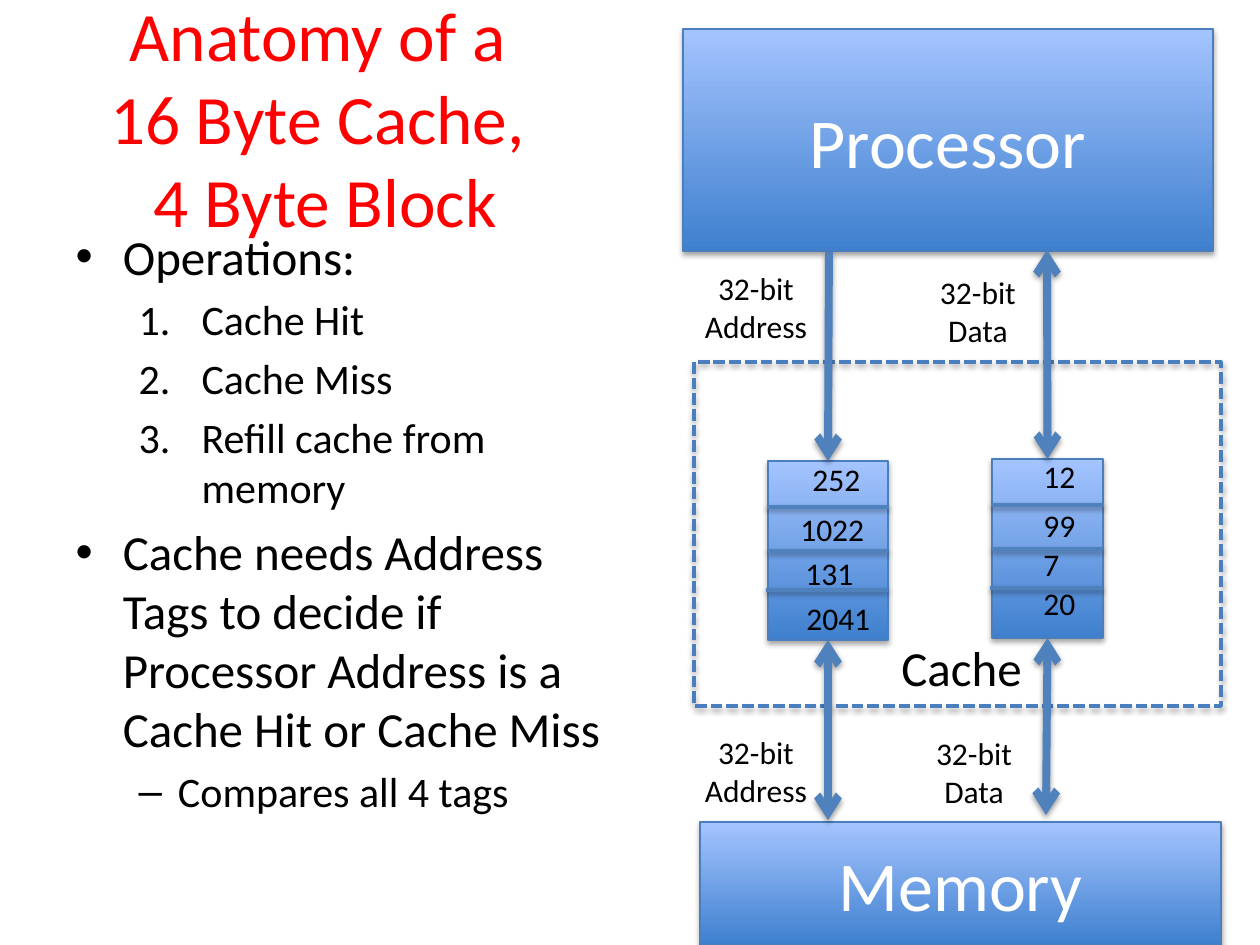
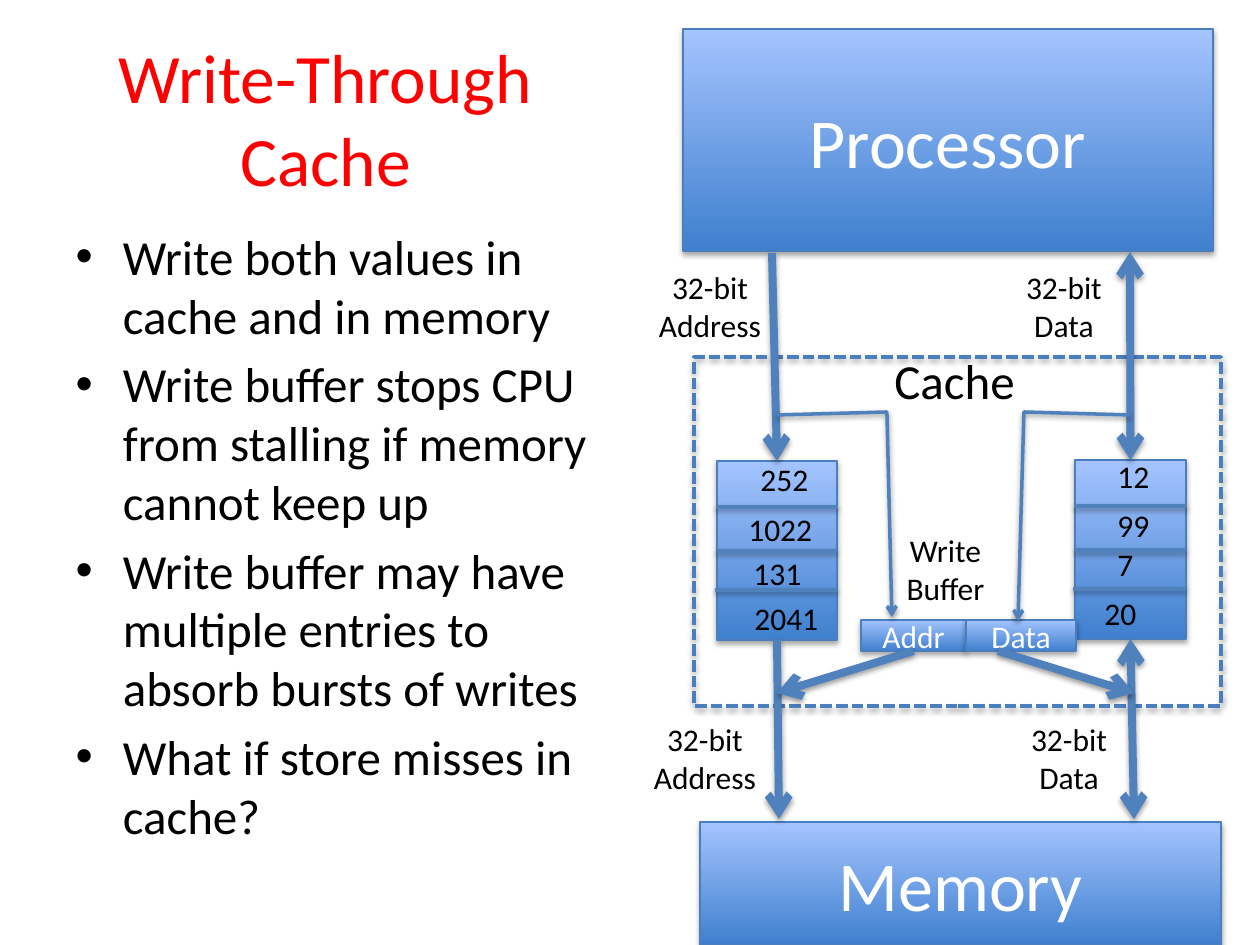
from pptx import Presentation
from pptx import util as u
from pptx.dml.color import RGBColor
from pptx.enum import dml, shapes, text
from pptx.oxml import parse_xml
from pptx.oxml.ns import nsdecls

SCALE = 914400 / 126  # EMU per px
FONT = "Calibri"
RED = RGBColor(0xFF, 0x00, 0x00)
BLACK = RGBColor(0x00, 0x00, 0x00)
WHITE = RGBColor(0xFF, 0xFF, 0xFF)
DEEP = RGBColor(0x3F, 0x80, 0xCE)
PALE = RGBColor(0xA4, 0xC4, 0xFF)
EDGE = RGBColor(0x4B, 0x7E, 0xBC)
BLUE = RGBColor(0x4F, 0x81, 0xBD)


def px(*nums):
    return [u.Emu(round(n * SCALE)) for n in nums]


def trim(item, color, width, drop, alpha, ends=""):
    """Give an item its line, arrowheads and soft shadow."""
    item.line.color.rgb = color
    item.line.width = u.Pt(width)
    props = item._element.spPr
    for end in ends.split():
        props.ln.append(parse_xml(f'<a:{end}End {nsdecls("a")} type="arrow"/>'))
    for old in props.findall("{*}effectLst"):
        props.remove(old)
    props.append(parse_xml(
        f'<a:effectLst {nsdecls("a")}><a:outerShdw blurRad="40000" dist="{drop}" '
        f'dir="5400000" rotWithShape="0"><a:srgbClr val="000000">'
        f'<a:alpha val="{alpha}000"/></a:srgbClr></a:outerShdw></a:effectLst>'))


BOX = (EDGE, 0.75, 23000, 35)
THICK = (BLUE, 4.5, 20000, 38)
THIN = (BLUE, 2, 20000, 38)
BOTH = "head tail"
ADDR = "32-bit\nAddress"
DATA = "32-bit\nData"

# Columns: left, top, width, start of upper arrow, heads, end of lower arrow, heads
# Notes: words, left, top, width, size
pages = [
    dict(
        title="Anatomy of a \v16 Byte Cache, \v4 Byte Block",
        body=[("Operations:", ""), ("Cache Hit", "num"), ("Cache Miss", "num"),
              ("Refill cache from memory", "num"),
              ("Cache needs Address Tags to decide if Processor Address is a "
               "Cache Hit or Cache Miss", ""),
              ("Compares all 4 tags", "dash")],
        cache=(694, 362, 527, 344),
        cols=[(768, 461, 120, (829, 252), "tail", (828, 820), BOTH),
              (992, 459, 111, (1047, 250), BOTH, (1046, 815), BOTH)],
        notes=[(ADDR, 692, 263, 128, 18), (DATA, 927, 267, 102, 18),
               (ADDR, 692, 727, 128, 18), (DATA, 923, 728, 102, 18),
               ("Cache", 889, 631, 147, 28),
               ("252", 800, 454, 107, 18), ("1022", 788, 504, 89, 18),
               ("131", 793, 548, 107, 18), ("2041", 794, 593, 107, 18),
               ("12", 1031, 451, 58, 18), ("99", 1031, 500, 58, 18),
               ("7", 1031, 539, 42, 18), ("20", 1031, 578, 58, 18)],
        parts=[],
    ),
    dict(
        title="Write-Through Cache",
        body=[("Write both values in cache and in memory", ""),
              ("Write buffer stops CPU from stalling if memory cannot keep up", ""),
              ("Write buffer may have multiple entries to absorb bursts of writes", ""),
              ("What if store misses in cache?", "")],
        cache=(694, 357, 527, 349),
        cols=[(717, 461, 120, (772, 253), "tail", (779, 819), "tail"),
              (1075, 460, 111, (1130, 252), BOTH, (1134, 819), BOTH)],
        notes=[(ADDR, 646, 262, 128, 18), (DATA, 1013, 262, 102, 18),
               (ADDR, 641, 714, 128, 18), (DATA, 1018, 714, 102, 18),
               ("Cache", 882, 344, 147, 28),
               ("252", 748, 454, 107, 18), ("1022", 736, 504, 89, 18),
               ("131", 741, 548, 107, 18), ("2041", 742, 593, 107, 18),
               ("12", 1105, 451, 58, 18), ("99", 1105, 500, 58, 18),
               ("7", 1105, 539, 42, 18), ("20", 1092, 588, 58, 18),
               ("Write Buffer", 872, 525, 147, 18)],
        # Write buffer: words, box, elbow into it, arrow out of it
        parts=[("Addr", (861, 620, 105, 31), [(777, 415), (887, 412), (892, 617)],
                (913, 651, 777, 693)),
               ("Data", (966, 620, 110, 31), [(1130, 415), (1024, 412), (1018, 621)],
                (998, 651, 1134, 693))],
    ),
]

deck = Presentation()
deck.slide_width, deck.slide_height = px(1260, 945)

for page in pages:
    slide = deck.slides.add_slide(deck.slide_layouts[1])
    draw = slide.shapes

    # Title
    head = draw.title
    head.left, head.top, head.width, head.height = px(63, 38, 525, 158)
    head.text_frame.text = page["title"]
    head.text_frame.auto_size = text.MSO_AUTO_SIZE.NONE
    font = head.text_frame.paragraphs[0].font
    font.name, font.size, font.color.rgb = FONT, u.Pt(39.6), RED

    # Bullets
    body = slide.placeholders[1]
    body.left, body.top, body.width, body.height = px(63, 220, 557, 624)
    body.text_frame.text = "\n".join(words for words, kind in page["body"])
    body.text_frame.auto_size = text.MSO_AUTO_SIZE.NONE
    for para, (words, kind) in zip(body.text_frame.paragraphs, page["body"]):
        para.level = 1 if kind else 0
        para.font.name, para.font.color.rgb = FONT, BLACK
        para.font.size = u.Pt(24 if kind else 28)
        if kind == "num":
            props = para._p.get_or_add_pPr()
            props.set("marL", "914400")
            props.set("indent", "-457200")
            for tag in ('buFont {} typeface="+mj-lt"', 'buAutoNum {} type="arabicPeriod"'):
                props.append(parse_xml(f"<a:{tag.format(nsdecls('a'))}/>"))

    # Cache outline
    frame = draw.add_shape(shapes.MSO_SHAPE.RECTANGLE, *px(*page["cache"]))
    frame.fill.background()
    frame.line.dash_style = dml.MSO_LINE.SQUARE_DOT
    trim(frame, EDGE, 2.25, 23000, 35)

    # Shaded boxes
    boxes = [("Processor", (683, 29, 530, 222), 40), ("Memory", (700, 822, 521, 123), 40)]
    boxes += [("", (left, top, wide, 179), 18) for left, top, wide, *rest in page["cols"]]
    boxes += [(words, place, 18) for words, place, *rest in page["parts"]]
    made = []
    for words, place, size in boxes:
        box = draw.add_shape(shapes.MSO_SHAPE.RECTANGLE, *px(*place))
        box.fill.gradient()
        box.fill.gradient_angle = 90
        for stop, color in zip(box.fill.gradient_stops, (DEEP, PALE)):
            stop.color.rgb = color
        trim(box, *BOX)
        if words:
            box.text_frame.text = words
            box.text_frame.vertical_anchor = text.MSO_ANCHOR.MIDDLE
            para = box.text_frame.paragraphs[0]
            para.alignment = text.PP_ALIGN.CENTER
            para.font.name, para.font.size, para.font.color.rgb = FONT, u.Pt(size), WHITE
        made.append(box)

    # Columns: arrows above and below, then row lines
    for col, (left, top, wide, start, above, stop, below) in zip(made[2:], page["cols"]):
        mid = left + wide // 2
        up = draw.add_connector(shapes.MSO_CONNECTOR.STRAIGHT, *px(*start, mid, top))
        up.end_connect(col, 0)
        trim(up, *THICK, above)
        down = draw.add_connector(shapes.MSO_CONNECTOR.STRAIGHT, *px(mid, top + 179, *stop))
        down.begin_connect(col, 2)
        trim(down, *THICK, below)
        for gap, west, east in ((46, -1, 1), (90, 0, 0), (129, -2, 0)):
            row = draw.add_connector(shapes.MSO_CONNECTOR.STRAIGHT, *px(
                left + west, top + gap, left + wide + east, top + gap))
            trim(row, *THIN)

    # Write buffer links
    for box, (words, place, bend, out) in zip(made[4:], page["parts"]):
        path = draw.build_freeform(*bend[0], scale=SCALE)
        path.add_line_segments(bend[1:], close=False)
        elbow = path.convert_to_shape()
        elbow.fill.background()
        trim(elbow, *THIN, "tail")
        link = draw.add_connector(shapes.MSO_CONNECTOR.STRAIGHT, *px(*out))
        if words == "Addr":
            link.begin_connect(box, 2)
        trim(link, *THICK, "tail")

    # Labels and stored values
    for words, left, top, wide, size in page["notes"]:
        many = "\n" in words or " " in words
        note = draw.add_textbox(*px(left, top, wide, 89 if many else size * 5 // 2 + 5))
        note.text_frame.text = words
        note.text_frame.word_wrap = " " in words
        for para in note.text_frame.paragraphs:
            para.alignment = text.PP_ALIGN.CENTER if many else text.PP_ALIGN.LEFT
            para.font.name, para.font.size, para.font.color.rgb = FONT, u.Pt(size), BLACK

deck.save("out.pptx")
